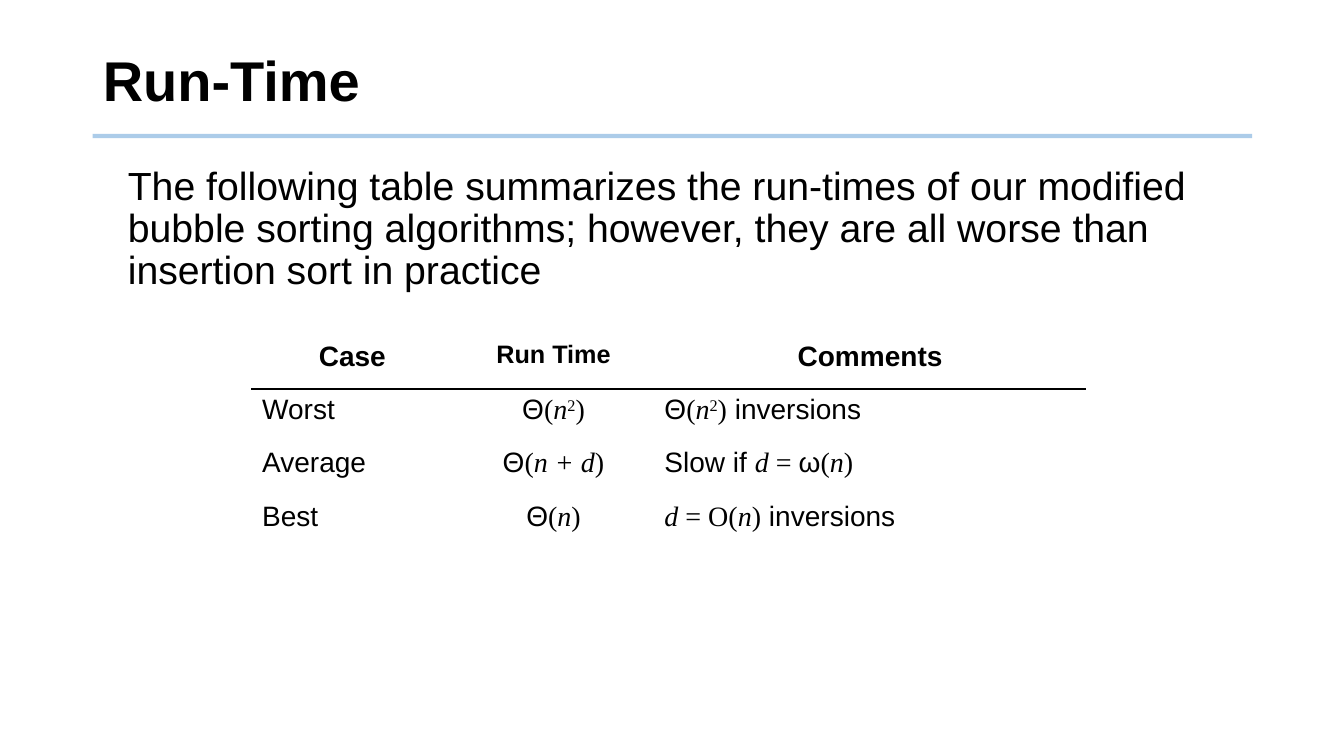
from lxml import etree
from pptx import Presentation
from pptx.dml.color import RGBColor
from pptx.enum import shapes, text
from pptx.oxml import ns
from pptx.util import Inches, Pt

TITLE = "Run-Time"
INTRO = ("The following table summarizes the run-times of our modified "
         "bubble sorting algorithms; however, they are all worse than "
         "insertion sort in practice")
SANS, MATH, VAR, SUP = "sans", "math", "var", "sup"
SQUARE = [("Θ", SANS), ("(", MATH), ("n", VAR), ("2", SUP), (")", MATH)]
HEADS = [("Case", 20), ("Run Time", 18), ("Comments", 20)]
ROWS = [
    ([("Worst", SANS)], SQUARE, SQUARE + [(" inversions", SANS)]),
    ([("Average", SANS)],
     [("Θ", SANS), ("(", MATH), ("n + d", VAR), (")", MATH)],
     [("Slow if ", SANS), ("d", VAR), (" = ", MATH), ("ω", SANS),
      ("(", MATH), ("n", VAR), (")", MATH)]),
    ([("Best", SANS)],
     [("Θ", SANS), ("(", MATH), ("n", VAR), (")", MATH)],
     [("d", VAR), (" = O(", MATH), ("n", VAR), (")", MATH),
      (" inversions", SANS)]),
]
STYLES = {
    SANS: {"name": "Arial"},
    MATH: {"name": "Times New Roman"},
    VAR: {"name": "Times New Roman", "italic": True},
    SUP: {"name": "Times New Roman"},
}
COLS = [1.99, 2, 4.28]
HIGH = 0.53
LEFT, WIDE = 0.92, 11.5
BLACK, BLUE, WHITE = "000000", "5B9BD5", "FFFFFF"
CENTER, START = text.PP_ALIGN.CENTER, text.PP_ALIGN.LEFT


def paint(color, code):
    color.rgb = RGBColor.from_string(code)


def style(obj, form):
    for key, val in form.items():
        setattr(obj, key, val)


def write(para, parts, size, bold=False):
    for words, kind in parts:
        run = para.add_run()
        run.text = words
        style(run.font, {"size": Pt(size), "bold": bold, "italic": False,
                         **STYLES[kind]})
        paint(run.font.color, BLACK)
        if kind == SUP:
            run._r.get_or_add_rPr().set("baseline", "30000")


def border(cell, side):
    edge = etree.Element(ns.qn(f"a:{side}"), w=str(Pt(1)))
    fill = etree.SubElement(edge, ns.qn("a:solidFill"))
    etree.SubElement(fill, ns.qn("a:srgbClr"), val=BLACK)
    cell._tc.get_or_add_tcPr().insert(0, edge)


def add_rule(slide):
    y = Inches(1.35)
    rule = slide.shapes.add_connector(
        shapes.MSO_CONNECTOR.STRAIGHT, Inches(LEFT), y, Inches(LEFT + WIDE), y)
    rule.line.width = Pt(3)
    paint(rule.line.color, BLUE)
    tint = next(rule._element.iter(ns.qn("a:srgbClr")))
    etree.SubElement(tint, ns.qn("a:alpha"), val="50000")
    etree.SubElement(rule._element.spPr, ns.qn("a:effectLst"))


def add_text(slide):
    title = slide.shapes.title
    style(title, {"left": Inches(LEFT), "top": Inches(0.28),
                  "width": Inches(WIDE), "height": Inches(1.1)})
    intro = slide.shapes.add_textbox(
        Inches(LEFT), Inches(1.6), Inches(WIDE), Inches(5.15))
    jobs = [(title, TITLE, 40, True, text.MSO_ANCHOR.MIDDLE),
            (intro, INTRO, 28, False, text.MSO_ANCHOR.TOP)]
    for box, words, size, bold, anchor in jobs:
        frame = box.text_frame
        style(frame, {"word_wrap": True, "vertical_anchor": anchor,
                      "auto_size": text.MSO_AUTO_SIZE.NONE})
        para = frame.paragraphs[0]
        style(para, {"alignment": START, "line_spacing": 0.9})
        write(para, [(words, SANS)], size, bold)
    intro.text_frame.paragraphs[0]._p.get_or_add_pPr().set(
        "marL", str(Inches(0.25)))


def add_grid(slide):
    count = len(ROWS) + 1
    grid = slide.shapes.add_table(
        count, len(COLS), Inches(2.5), Inches(3.33),
        Inches(sum(COLS)), Inches(HIGH * count)).table
    style(grid, {"first_row": False, "horz_banding": False})
    for col, wide in zip(grid.columns, COLS):
        col.width = Inches(wide)
    heads = [[(words, SANS)] for words, size in HEADS]
    for r, row in enumerate([heads, *ROWS]):
        grid.rows[r].height = Inches(HIGH)
        for c, parts in enumerate(row):
            cell = grid.cell(r, c)
            cell.fill.solid()
            paint(cell.fill.fore_color, WHITE)
            para = cell.text_frame.paragraphs[0]
            para.alignment = CENTER if r == 0 or c == 1 else START
            write(para, parts, HEADS[c][1] if r == 0 else 20, r == 0)
            if r < 2:
                border(cell, ("lnB", "lnT")[r])


def main():
    deck = Presentation()
    style(deck, {"slide_width": Inches(13.33), "slide_height": Inches(7.5)})
    slide = deck.slides.add_slide(deck.slide_layouts[5])
    add_rule(slide)
    add_text(slide)
    add_grid(slide)
    deck.save("out.pptx")


if __name__ == "__main__":
    main()
